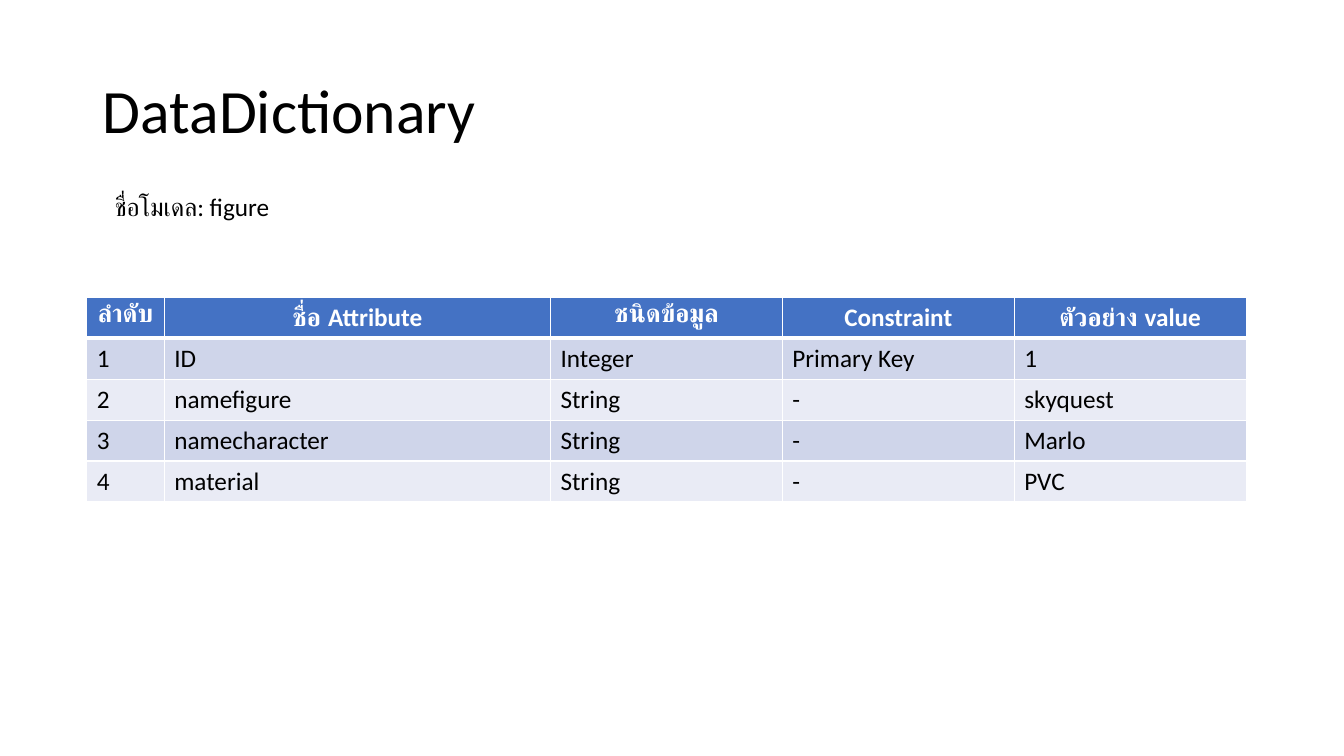
"""Build a slide showing the data dictionary of the figure model."""
import pptx
import pptx.dml.color
import pptx.enum.text
import pptx.oxml.ns
import pptx.util
import lxml.etree

TITLE = "DataDictionary"
MODEL = "ชื่อโมเดล: figure"
ROWS = [
    ("ลำดับ", "ชื่อ Attribute", "ชนิดข้อมูล", "Constraint", "ตัวอย่าง value"),
    ("1", "ID", "Integer", "Primary Key", "1"),
    ("2", "namefigure", "String", "-", "skyquest"),
    ("3", "namecharacter", "String", "-", "Marlo"),
    ("4", "material", "String", "-", "PVC"),
]
WIDTH, HEIGHT = 13.33, 7.5
COLUMNS = (0.77, 3.83, 2.3, 2.3, 2.3)
ROW_HEIGHT = 0.406
HEADER_FILL, BAND_FILLS = "4472C4", ("CFD5EA", "E9EBF5")
BLACK, WHITE, FONT = "000000", "FFFFFF", "Calibri"
ALIGN = pptx.enum.text.PP_ALIGN


def inches(*lengths):
    return [pptx.util.Inches(length) for length in lengths]


def colour(value):
    return pptx.dml.color.RGBColor.from_string(value)


def write(frame, text, size, ink=BLACK, bold=False, align=ALIGN.LEFT):
    frame.text = text
    para = frame.paragraphs[0]
    para.alignment = align
    font = para.runs[0].font
    font.name, font.size, font.bold = FONT, pptx.util.Pt(size), bold
    font.color.rgb = colour(ink)
    return para


def add_borders(cell, bottom):
    properties = cell._tc.get_or_add_tcPr()
    qn = pptx.oxml.ns.qn
    for side, points in (("L", 1), ("R", 1), ("T", 1), ("B", bottom)):
        line = lxml.etree.SubElement(properties, qn(f"a:ln{side}"), w=str(pptx.util.Pt(points)))
        fill = lxml.etree.SubElement(line, qn("a:solidFill"))
        lxml.etree.SubElement(fill, qn("a:srgbClr"), val=WHITE)


def add_title(page):
    title = page.shapes.title
    title.left, title.top, title.width, title.height = inches(0.92, 0.4, 11.5, 1.45)
    title.text_frame.vertical_anchor = pptx.enum.text.MSO_ANCHOR.MIDDLE
    write(title.text_frame, TITLE, 44).line_spacing = 0.9


def add_model_name(page):
    box = page.shapes.add_textbox(*inches(1.04, 1.85, 4.09, 0.4))
    box.text_frame.word_wrap = True
    write(box.text_frame, MODEL, 18)


def add_dictionary(page):
    place = inches(0.86, 2.95, sum(COLUMNS), ROW_HEIGHT * len(ROWS))
    table = page.shapes.add_table(len(ROWS), len(COLUMNS), *place).table
    for column, width in zip(table.columns, COLUMNS):
        column.width = pptx.util.Inches(width)
    for row, texts in enumerate(ROWS):
        header = row == 0
        fill = HEADER_FILL if header else BAND_FILLS[(row - 1) % 2]
        for column, text in enumerate(texts):
            cell = table.cell(row, column)
            add_borders(cell, 3 if header else 1)
            cell.fill.solid()
            cell.fill.fore_color.rgb = colour(fill)
            write(cell.text_frame, text, 18, WHITE if header else BLACK, header,
                  ALIGN.CENTER if header else ALIGN.LEFT)


def main():
    deck = pptx.Presentation()
    deck.slide_width, deck.slide_height = inches(WIDTH, HEIGHT)
    page = deck.slides.add_slide(deck.slide_layouts[5])
    add_title(page)
    add_dictionary(page)
    add_model_name(page)
    deck.save("out.pptx")


if __name__ == "__main__":
    main()
